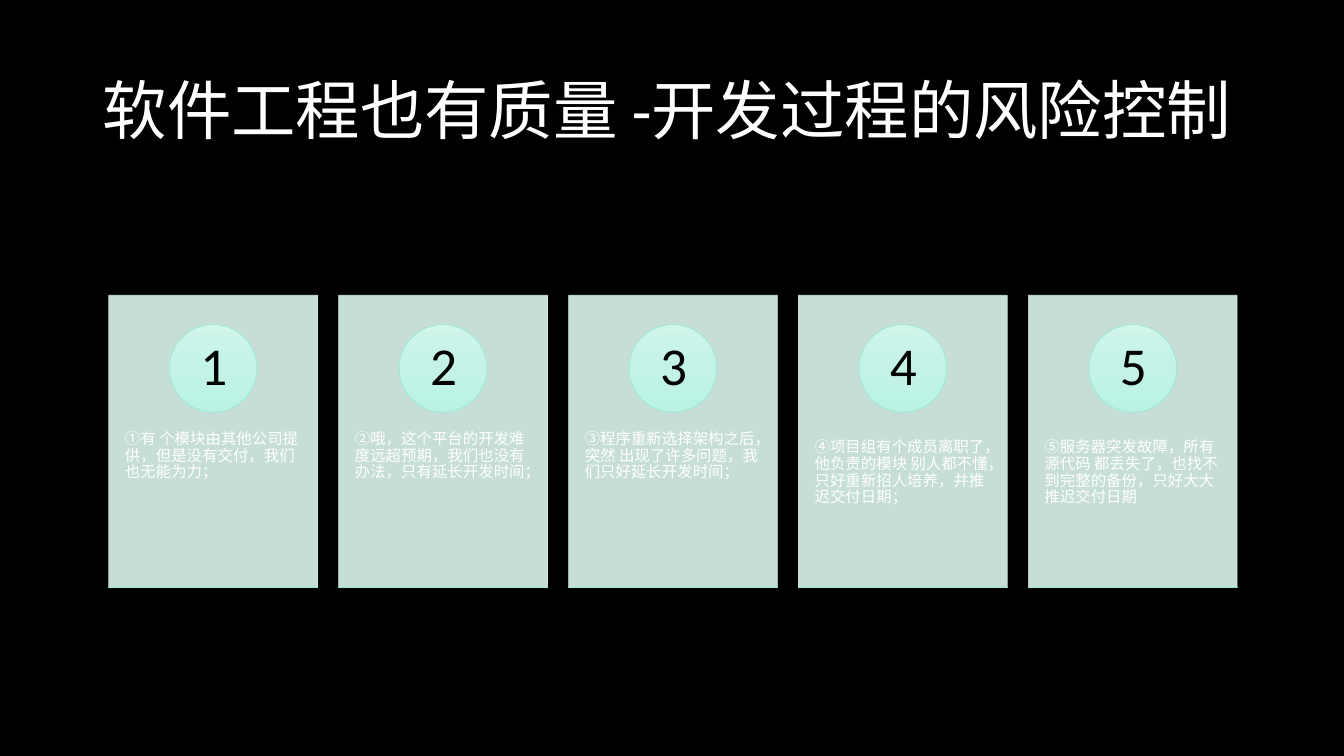
import copy

import lxml.etree
import pptx
import pptx.dml.color
import pptx.enum.shapes
import pptx.enum.text
import pptx.oxml.ns
import pptx.util

Inches = pptx.util.Inches
Pt = pptx.util.Pt
RGBColor = pptx.dml.color.RGBColor
SHAPE = pptx.enum.shapes.MSO_SHAPE
ANCHOR = pptx.enum.text.MSO_ANCHOR
ALIGN = pptx.enum.text.PP_ALIGN
qn = pptx.oxml.ns.qn

BLACK = RGBColor(0x00, 0x00, 0x00)
WHITE = RGBColor(0xFF, 0xFF, 0xFF)
CARD_MINT = RGBColor(0xDD, 0xF7, 0xEF)
EDGE_MINT = RGBColor(0x97, 0xE9, 0xD5)
GRADIENT = (RGBColor(0xD1, 0xF6, 0xEC), RGBColor(0xC3, 0xF2, 0xE6), RGBColor(0xBA, 0xF3, 0xE4))

RISKS = [
    "①有 个模块由其他公司提供，但是没有交付，我们也无能为力；",
    "②哦，这个平台的开发难 度远超预期，我们也没有办法，只有延长开发时间；",
    "③程序重新选择架构之后，突然 出现了许多问题，我们只好延长开发时间；",
    "④项目组有个成员离职了，他负责的模块 别人都不懂，只好重新招人培养，并推迟交付日期；",
    "⑤服务器突发故障，所有源代码 都丢失了，也找不到完整的备份，只好大大推迟交付日期",
]
CARD_LEFT, CARD_TOP, CARD_WIDTH, CARD_HEIGHT = 1.08, 2.93, 2.07, 2.9
CARD_STEP = 2.28

deck = pptx.Presentation()
deck.slide_width, deck.slide_height = Inches(13.33), Inches(7.5)
slide = deck.slides.add_slide(deck.slide_layouts[6])
slide.background.fill.solid()
slide.background.fill.fore_color.rgb = BLACK


def add_text(box, text, size, color, margins, anchor=ANCHOR.TOP, align=ALIGN.LEFT):
    frame = slide.shapes.add_textbox(*map(Inches, box)).text_frame
    frame.word_wrap = True
    frame.vertical_anchor = anchor
    frame.margin_left = frame.margin_right = Inches(margins[0])
    frame.margin_top = frame.margin_bottom = Inches(margins[1])
    paragraph = frame.paragraphs[0]
    paragraph.alignment = align
    paragraph.line_spacing = 0.9
    run = paragraph.add_run()
    run.text = text
    run.font.name = "Calibri"
    run.font.size = Pt(size)
    run.font.color.rgb = color


def add_mint_shape(kind, box, edge, gradient):
    shape = slide.shapes.add_shape(kind, *map(Inches, box))
    shape.shadow.inherit = False
    shape.line.color.rgb = edge
    shape.line.width = Pt(0.5)
    properties = shape._element.spPr
    if gradient:
        shape.fill.gradient()
        shape.fill.gradient_angle = 270
        first, last = shape.fill.gradient_stops
        first.color.rgb, last.color.rgb = GRADIENT[0], GRADIENT[2]
        # Middle stop of the gradient
        stops = properties.find(".//" + qn("a:gsLst"))
        middle = copy.deepcopy(stops[0])
        middle.set("pos", "50000")
        middle[0].set("val", str(GRADIENT[1]))
        stops.insert(1, middle)
    else:
        shape.fill.solid()
        shape.fill.fore_color.rgb = CARD_MINT
        # Fill and edge at 90 % opacity
        for color in properties.iter(qn("a:srgbClr")):
            lxml.etree.SubElement(color, qn("a:alpha")).set("val", "90000")


# Title
add_text((0.92, 0.4, 11.5, 1.45), "软件工程也有质量 -开发过程的风险控制", 46, WHITE,
         (0.1, 0.05), ANCHOR.MIDDLE)

# Risk cards: panel, description, numbered circle, base line
for index, risk in enumerate(RISKS):
    left = CARD_LEFT + index * CARD_STEP
    add_mint_shape(SHAPE.RECTANGLE, (left, CARD_TOP, CARD_WIDTH, CARD_HEIGHT), CARD_MINT, False)
    add_text((left, 4.03, CARD_WIDTH, 1.74), risk, 11, WHITE, (0.16, 0.36))
    add_mint_shape(SHAPE.OVAL, (left + 0.6, 3.22, 0.87, 0.87), EDGE_MINT, True)
    add_text((left + 0.73, 3.34, 0.62, 0.62), str(index + 1), 38, BLACK,
             (0.07, 0.01), ANCHOR.MIDDLE, ALIGN.CENTER)
    add_mint_shape(SHAPE.RECTANGLE, (left, CARD_TOP + CARD_HEIGHT, CARD_WIDTH, 0), EDGE_MINT, True)

deck.save("out.pptx")
